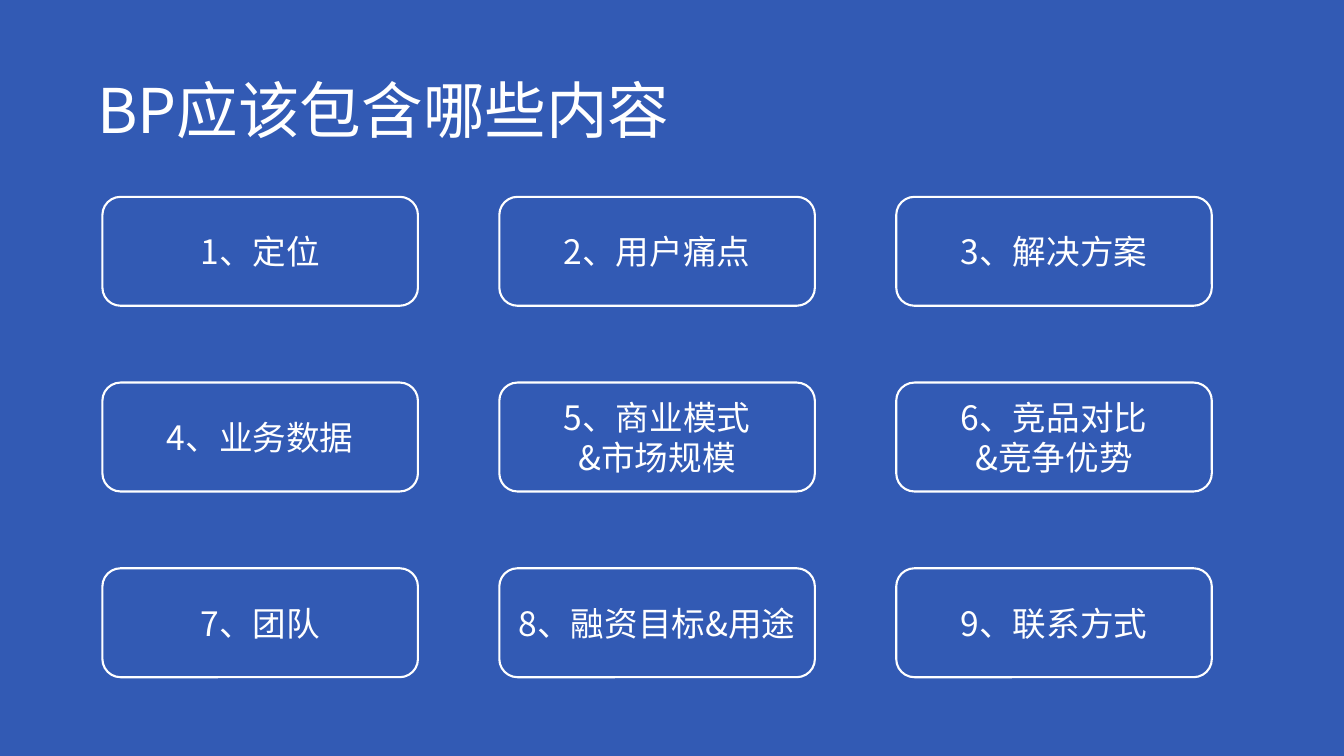
from lxml import etree
from pptx import Presentation
from pptx.dml.color import RGBColor
from pptx.enum import shapes, text
from pptx.oxml.ns import qn
from pptx.util import Cm, Pt

FONT = "Noto Sans CJK SC"
WHITE = "FFFFFF"
BLUE = "325AB4"


def color(fmt, value):
    fmt.rgb = RGBColor.from_string(value)


def add_run(p, content, size):
    r = p.add_run()
    r.text = content
    r.font.size = Pt(size)
    r.font.name = FONT
    color(r.font.color, WHITE)
    ea = etree.Element(qn("a:ea"), typeface=FONT)
    r.font._element.find(qn("a:latin")).addnext(ea)


prs = Presentation()
prs.slide_width = Cm(67.72)
prs.slide_height = Cm(38.1)
s = prs.slides.add_slide(prs.slide_layouts[6])
s.background.fill.solid()
color(s.background.fill.fore_color, BLUE)

title = s.shapes.add_textbox(Cm(4.65), Cm(2.03), Cm(58.42), Cm(7.37))
tf = title.text_frame
tf.word_wrap = True
tf.vertical_anchor = text.MSO_ANCHOR.MIDDLE
p = tf.paragraphs[0]
p.line_spacing = 0.9
add_run(p, "BP应该包含哪些内容", 88)

topics = [
    ["1、定位"],
    ["2、用户痛点"],
    ["3、解决方案"],
    ["4、业务数据"],
    ["5、商业模式", "&市场规模"],
    ["6、竞品对比", "&竞争优势"],
    ["7、团队"],
    ["8、融资目标&用途"],
    ["9、联系方式"],
]

for i, lines in enumerate(topics):
    row, col = divmod(i, 3)
    sp = s.shapes.add_shape(
        shapes.MSO_SHAPE.ROUNDED_RECTANGLE,
        Cm(5.16 + 20 * col), Cm(9.92 + 9.36 * row), Cm(15.9), Cm(5.49),
    )
    sp.shadow.inherit = False
    sp.fill.background()
    color(sp.line.color, WHITE)
    sp.line.width = Pt(3)
    tf = sp.text_frame
    tf.word_wrap = True
    tf.vertical_anchor = text.MSO_ANCHOR.MIDDLE
    for n, line in enumerate(lines):
        p = tf.add_paragraph() if n else tf.paragraphs[0]
        p.alignment = text.PP_ALIGN.CENTER
        add_run(p, line, 48)

prs.save("out.pptx")
